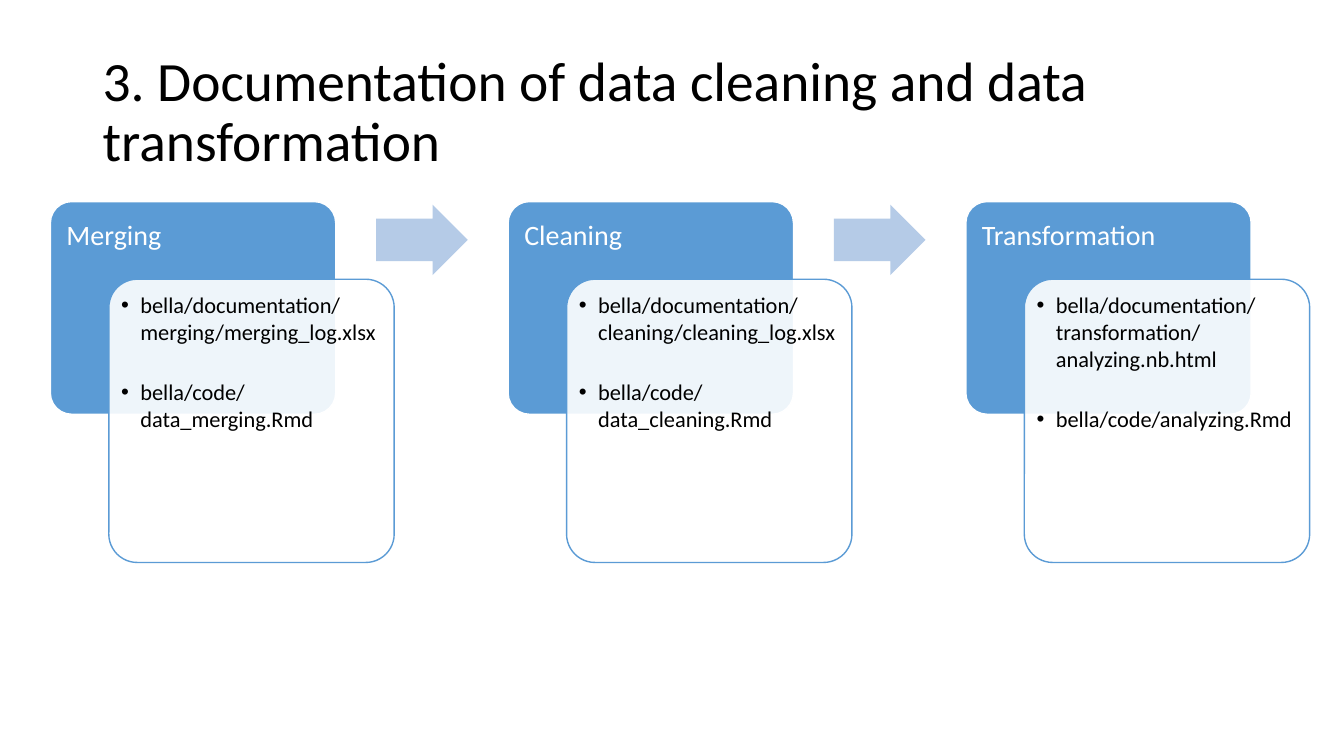
from pptx import Presentation
from pptx.dml.color import RGBColor
from pptx.enum.shapes import MSO_SHAPE as Kind
from pptx.enum.text import MSO_ANCHOR as Anchor, PP_ALIGN as Align
from pptx.oxml.ns import qn
from pptx.util import Inches, Pt
from lxml.etree import SubElement

BLACK = RGBColor(0x00, 0x00, 0x00)
WHITE = RGBColor(0xFF, 0xFF, 0xFF)
BLUE = RGBColor(0x5B, 0x9B, 0xD5)
PALE = RGBColor(0xB5, 0xCB, 0xE7)

LEFT, STEP = 0.5, 4.54
STAGES = [
    ("Merging", ["bella/documentation/merging/merging_log.xlsx",
                 "bella/code/data_merging.Rmd"]),
    ("Cleaning", ["bella/documentation/cleaning/cleaning_log.xlsx",
                  "bella/code/data_cleaning.Rmd"]),
    ("Transformation", ["bella/documentation/transformation/analyzing.nb.html",
                        "bella/code/analyzing.Rmd"]),
]


def write(shape, lines, size, color, inset=0.1, anchor=Anchor.TOP,
          bullet=False, gap=0, spacing=1.0):
    frame = shape.text_frame
    frame.word_wrap = True
    frame.vertical_anchor = anchor
    frame.margin_left = frame.margin_right = Inches(inset)
    frame.margin_top = frame.margin_bottom = Inches(inset)
    for i, line in enumerate(lines):
        para = frame.add_paragraph() if i else frame.paragraphs[0]
        para.text = line
        para.alignment = Align.LEFT
        para.line_spacing = spacing
        if i:
            para.space_before = Pt(gap)
        if bullet:
            props = para._p.get_or_add_pPr()
            props.set("marL", str(Inches(0.19)))
            props.set("indent", str(-Inches(0.19)))
            SubElement(props, qn("a:buFont"), typeface="Arial")
            SubElement(props, qn("a:buChar"), char="•")
        para.font.name = "Calibri"
        para.font.size = Pt(size)
        para.font.color.rgb = color


def block(slide, kind, box, fill, line=None, adjust=(0.1,)):
    shape = slide.shapes.add_shape(kind, *map(Inches, box))
    shape.shadow.inherit = False
    for i, value in enumerate(adjust):
        shape.adjustments[i] = value
    shape.fill.solid()
    shape.fill.fore_color.rgb = fill
    if line is None:
        shape.line.fill.background()
    else:
        shape.line.color.rgb = line
        shape.line.width = Pt(1)
    return shape


def title(slide, text):
    box = slide.shapes.add_textbox(Inches(0.92), Inches(0.4),
                                   Inches(11.5), Inches(1.45))
    write(box, [text], 39.6, BLACK, anchor=Anchor.MIDDLE, spacing=0.9)


def stage(slide, x, name, files):
    head = block(slide, Kind.ROUNDED_RECTANGLE, (x, 2, 2.83, 2.11), BLUE, WHITE)
    write(head, [name], 20, WHITE)
    card = block(slide, Kind.ROUNDED_RECTANGLE, (x + 0.58, 2.77, 2.83, 2.81),
                 WHITE, BLUE)
    color = card.fill._xPr.find(".//" + qn("a:srgbClr"))
    SubElement(color, qn("a:alpha"), val="90000")
    write(card, files, 16, BLACK, inset=0.04, bullet=True, gap=23.5)


def arrow(slide, x):
    block(slide, Kind.RIGHT_ARROW, (x, 2.03, 0.91, 0.7), PALE, adjust=(0.6, 0.5))


def main():
    deck = Presentation()
    deck.slide_width, deck.slide_height = Inches(13.33), Inches(7.5)
    slide = deck.slides.add_slide(deck.slide_layouts[6])
    title(slide, "3. Documentation of data cleaning and data transformation")
    for i, (name, files) in enumerate(STAGES):
        x = LEFT + i * STEP
        stage(slide, x, name, files)
        if i < len(STAGES) - 1:
            arrow(slide, x + 3.23)
    deck.save("out.pptx")


if __name__ == "__main__":
    main()
